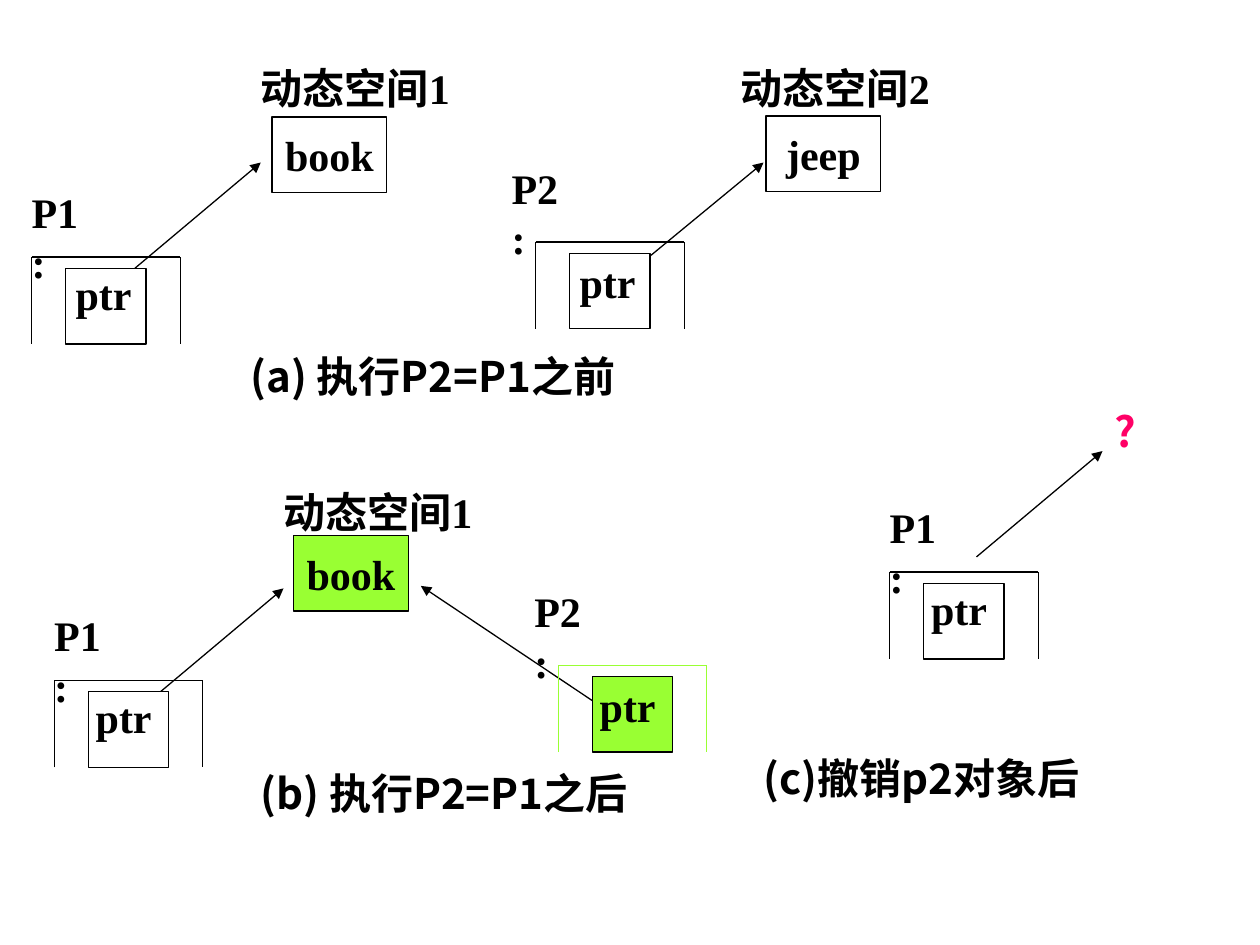
from lxml import etree
from pptx import Presentation
from pptx.dml.color import RGBColor
from pptx.enum.shapes import MSO_CONNECTOR, MSO_SHAPE
from pptx.enum.text import MSO_ANCHOR, PP_ALIGN
from pptx.oxml.ns import qn
from pptx.util import Inches, Pt

COLORS = {"black": "000000", "white": "FFFFFF", "green": "99FF33", "pink": "FF0066"}
SERIF, SANS = "Times New Roman", "Noto Sans CJK SC"

prs = Presentation()
prs.slide_width, prs.slide_height = Inches(10), Inches(7.5)
slide = prs.slides.add_slide(prs.slide_layouts[6])


def add_text(text, left, top, width, height, font=SERIF, color="black", fill=None,
             align=PP_ALIGN.LEFT, anchor=MSO_ANCHOR.TOP, margins=(0, 0), wrap=True):
    """Add bold 24 pt text, in an outlined rectangle when a fill is given."""
    place = [Inches(v) for v in (left, top, width, height)]
    if fill:
        box = slide.shapes.add_shape(MSO_SHAPE.RECTANGLE, *place)
        box.shadow.inherit = False
        box.fill.solid()
        box.fill.fore_color.rgb = RGBColor.from_string(COLORS[fill])
        box.line.color.rgb = RGBColor.from_string(COLORS["black"])
        box.line.width = Pt(0.75)
    else:
        box = slide.shapes.add_textbox(*place)
    frame = box.text_frame
    frame.word_wrap = wrap
    frame.vertical_anchor = anchor
    frame.margin_left, frame.margin_top = [Inches(m) for m in margins]
    frame.margin_right, frame.margin_bottom = frame.margin_left, frame.margin_top
    paragraph = frame.paragraphs[0]
    paragraph.alignment = align
    run = paragraph.add_run()
    run.text = text
    run.font.name, run.font.size, run.font.bold = font, Pt(24), True
    run.font.color.rgb = RGBColor.from_string(COLORS[color])
    etree.SubElement(run.font._element, qn("a:ea"), typeface=SANS)


def add_line(start, end, color="black", arrow=False):
    line = slide.shapes.add_connector(
        MSO_CONNECTOR.STRAIGHT, *[Inches(v) for v in (*start, *end)])
    line.line.color.rgb = RGBColor.from_string(COLORS[color])
    line.line.width = Pt(0.75)
    if arrow:
        etree.SubElement(line.line._get_or_add_ln(), qn("a:tailEnd"), type="triangle")
    etree.SubElement(line._element.spPr, qn("a:effectLst"))


# Arrows from each pointer to the memory it refers to
for start, end in [
    ((1.07, 2.13), (2.07, 1.29)),
    ((5.15, 2.04), (6.06, 1.29)),
    ((1.25, 5.51), (2.25, 4.67)),
    ((4.7, 5.56), (3.34, 4.65)),
    ((7.75, 4.42), (8.75, 3.58)),
]:
    add_line(start, end, arrow=True)

# Dynamic memory: heading and the object stored there
for heading, heading_left, heading_top, content, left, top, fill in [
    ("动态空间1", 2.07, 0.5, "book", 2.16, 0.93, "white"),
    ("动态空间2", 5.88, 0.5, "jeep", 6.08, 0.92, "white"),
    ("动态空间1", 2.25, 3.86, "book", 2.33, 4.25, "green"),
]:
    add_text(heading, heading_left, heading_top, 1.8, 0.4)
    add_text(content, left, top, 0.91, 0.6, fill=fill, align=PP_ALIGN.CENTER,
             anchor=MSO_ANCHOR.MIDDLE, margins=(0.1, 0.05), wrap=False)

# Pointer objects: open frame, ptr member and name
FRAME_WIDTH, FRAME_HEIGHT = 1.18, 0.69
NAME_OFFSETS = {"P1:": (0, -0.56), "P2:": (-0.19, -0.63)}
for name, left, top, frame_color, fill, ptr_margins in [
    ("P1:", 0.25, 2.04, "black", "white", (0.08, 0)),
    ("P2:", 4.25, 1.92, "black", "white", (0.08, 0.03)),
    ("P1:", 0.43, 5.4, "black", "white", (0.06, 0)),
    ("P2:", 4.43, 5.28, "green", "green", (0.06, 0.03)),
    ("P1:", 7.06, 4.54, "black", "white", (0.06, 0)),
]:
    right, bottom = left + FRAME_WIDTH, top + FRAME_HEIGHT
    corners = [(left, bottom), (left, top), (right, top), (right, bottom)]
    for start, end in zip(corners, corners[1:]):
        add_line(start, end, color=frame_color)
    add_text("ptr", left + 0.27, top + 0.09, 0.64, 0.6, fill=fill, margins=ptr_margins)
    dx, dy = NAME_OFFSETS[name]
    add_text(name, left + dx, top + dy, 0.45, 0.8)

# Captions
add_text("(a) 执行P2=P1之前", 1.89, 2.73, 3.45, 0.5, font=SANS, margins=(0.1, 0.05))
add_text("(b) 执行P2=P1之后", 2.07, 6.09, 3.09, 0.8, font=SANS)
add_text("(c)撤销p2对象后", 6.06, 5.97, 3.69, 0.4, font=SANS)
add_text("?", 8.75, 3.17, 0.45, 0.5, font=SANS, color="pink", margins=(0.1, 0.05))

prs.save("out.pptx")
